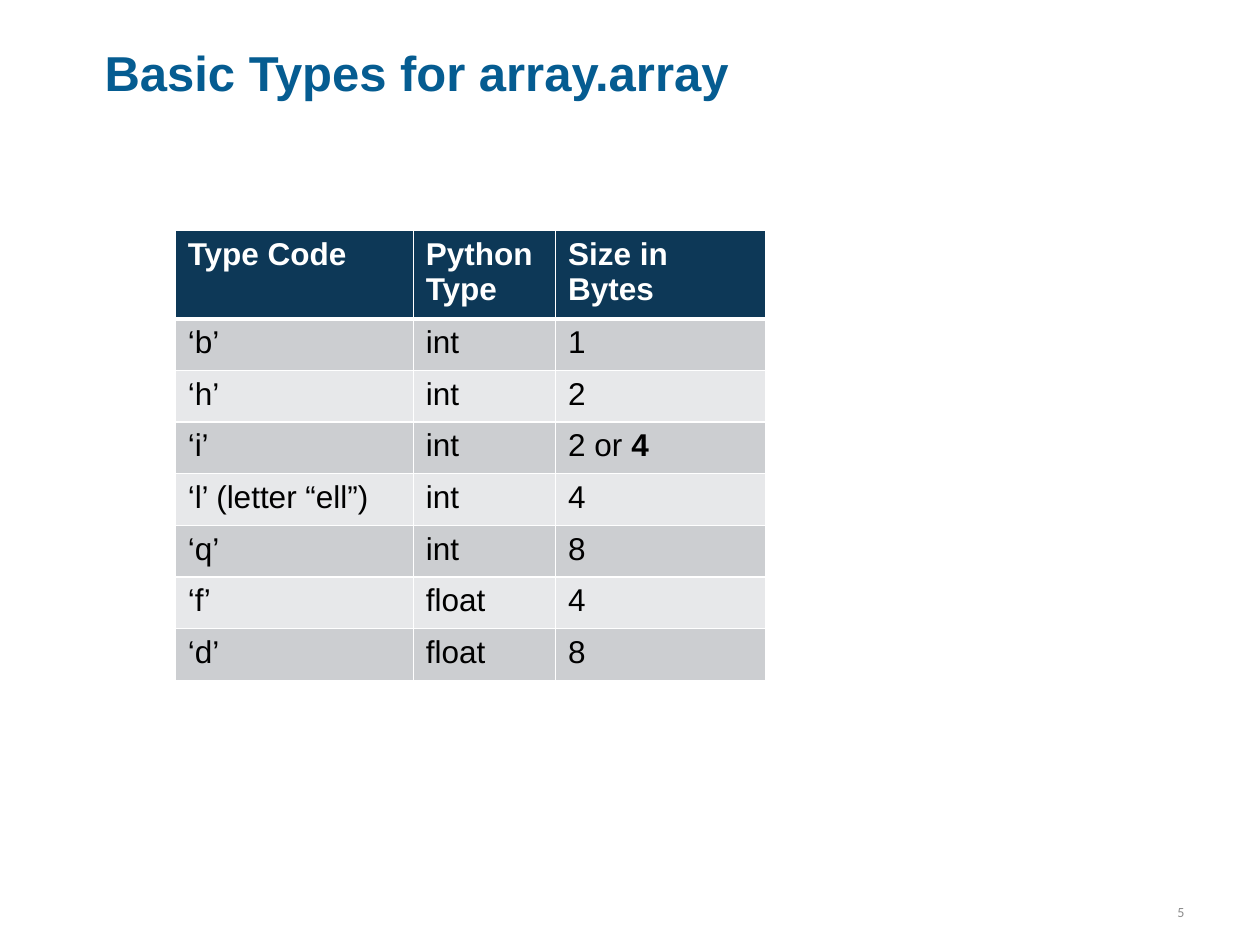
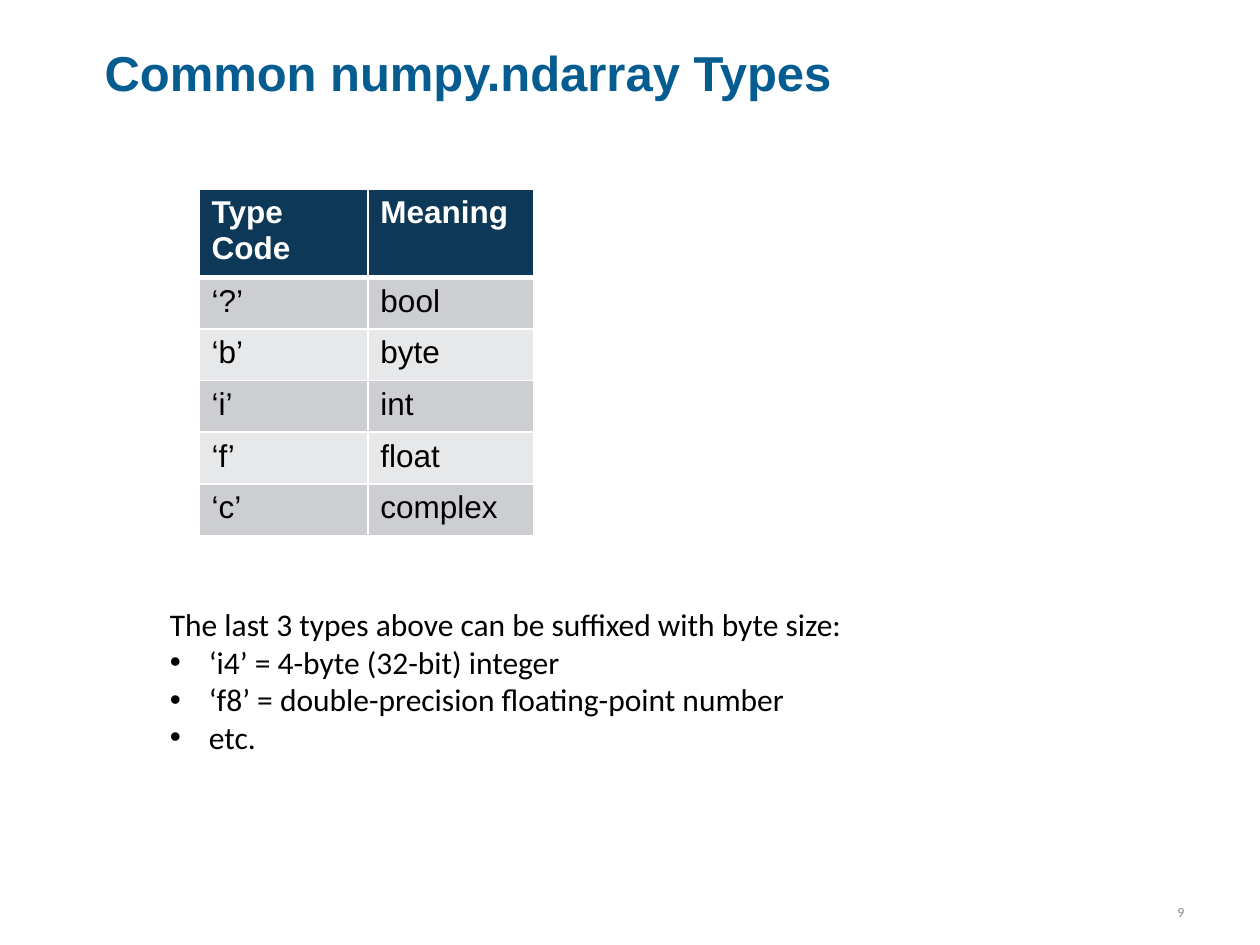
from lxml import etree
from pptx import Presentation
from pptx.dml.color import RGBColor
from pptx.enum import text
from pptx.oxml import ns
from pptx.util import Inches, Pt

TITLE_BLUE = "055C91"
HEADER_NAVY = "0D3857"
BAND_DARK = "CCCED1"
BAND_LIGHT = "E7E8EA"
WHITE = "FFFFFF"
BLACK = "000000"
PAGE_GREY = "8C8C8C"
HEADING_FONT = "Arial"
BODY_FONT = "Calibri"


def color(value):
    return RGBColor.from_string(value)


def add_element(parent, tag, **attributes):
    return etree.SubElement(parent, ns.qn(tag), attributes)


class Deck:
    def __init__(self):
        self.presentation = Presentation()
        self.presentation.slide_width = Inches(10)
        self.presentation.slide_height = Inches(7.5)
        self.page = None

    def add_page(self, title, number):
        self.page = self.presentation.slides.add_slide(self.presentation.slide_layouts[6])
        self.add_number(number)
        self.add_title(title)

    def style(self, paragraph, font, size, shade, bold=False):
        for span in paragraph.runs:
            span.font.name = font
            span.font.size = Pt(size)
            span.font.bold = bold
            span.font.color.rgb = color(shade)

    def add_box(self, left, top, width, height, words, wrap=True):
        box = self.page.shapes.add_textbox(
            Inches(left), Inches(top), Inches(width), Inches(height))
        frame = box.text_frame
        frame.word_wrap = wrap
        frame.text = words
        return frame

    def add_title(self, words):
        frame = self.add_box(0.83, 0.41, 8.78, 0.4, words)
        frame.vertical_anchor = text.MSO_ANCHOR.MIDDLE
        frame.margin_left = frame.margin_right = 0
        frame.margin_top = frame.margin_bottom = 0
        paragraph = frame.paragraphs[0]
        paragraph.line_spacing = 0.85
        self.style(paragraph, HEADING_FONT, 28, TITLE_BLUE, True)

    def add_number(self, number):
        frame = self.add_box(9.16, 7.12, 0.34, 0.24, str(number), wrap=False)
        frame.vertical_anchor = text.MSO_ANCHOR.MIDDLE
        paragraph = frame.paragraphs[0]
        paragraph.alignment = text.PP_ALIGN.RIGHT
        self.style(paragraph, BODY_FONT, 8, PAGE_GREY)

    def add_borders(self, cell, top, bottom):
        properties = cell._tc.get_or_add_tcPr()
        for side, width in (("L", 1), ("R", 1), ("T", top), ("B", bottom)):
            line = add_element(properties, f"a:ln{side}", w=str(Pt(width)))
            fill = add_element(line, "a:solidFill")
            add_element(fill, "a:srgbClr", val=WHITE)

    def add_table(self, left, top, widths, rows, row_height=0.41):
        table = self.page.shapes.add_table(
            len(rows), len(widths), Inches(left), Inches(top),
            Inches(sum(widths)), Inches(row_height * len(rows))).table
        for column, width in zip(table.columns, widths):
            column.width = Inches(width)
        for row_index, values in enumerate(rows):
            table.rows[row_index].height = Inches(row_height)
            header = row_index == 0
            band = BAND_DARK if row_index % 2 else BAND_LIGHT
            for column_index, value in enumerate(values):
                cell = table.cell(row_index, column_index)
                self.add_borders(cell, 3 if row_index == 1 else 1, 3 if header else 1)
                cell.fill.solid()
                cell.fill.fore_color.rgb = color(HEADER_NAVY if header else band)
                cell.text_frame.text = value
                self.style(cell.text_frame.paragraphs[0], HEADING_FONT, 18,
                           WHITE if header else BLACK, header)
        return table

    def add_bold_ending(self, cell, words):
        paragraph = cell.text_frame.paragraphs[0]
        span = paragraph.add_run()
        span.text = words
        self.style(paragraph, HEADING_FONT, 18, BLACK)
        span.font.bold = True

    def add_bullet_list(self, left, top, width, height, intro, items):
        frame = self.add_box(left, top, width, height, intro)
        for item in items:
            paragraph = frame.add_paragraph()
            paragraph.text = item
            properties = paragraph._p.get_or_add_pPr()
            properties.set("marL", str(Inches(0.31)))
            properties.set("indent", str(Inches(-0.31)))
            add_element(properties, "a:buFont", typeface="Arial")
            add_element(properties, "a:buChar", char="•")
        for paragraph in frame.paragraphs:
            self.style(paragraph, BODY_FONT, 18, BLACK)


def main():
    deck = Deck()

    deck.add_page("Basic Types for array.array", 5)
    array_types = deck.add_table(1.39, 1.83, [1.89, 1.13, 1.67], [
        ("Type Code", "Python Type", "Size in Bytes"),
        ("‘b’", "int", "1"),
        ("‘h’", "int", "2"),
        ("‘i’", "int", "2 or "),
        ("‘l’ (letter “ell”)", "int", "4"),
        ("‘q’", "int", "8"),
        ("‘f’", "float", "4"),
        ("‘d’", "float", "8"),
    ])
    deck.add_bold_ending(array_types.cell(3, 2), "4")

    deck.add_page("Common numpy.ndarray Types", 9)
    deck.add_table(1.58, 1.5, [1.34, 1.32], [
        ("Type Code", "Meaning"),
        ("‘?’", "bool"),
        ("‘b’", "byte"),
        ("‘i’", "int"),
        ("‘f’", "float"),
        ("‘c’", "complex"),
    ])
    deck.add_bullet_list(
        1.25, 4.75, 7.17, 1.31,
        "The last 3 types above can be suffixed with byte size:",
        ["‘i4’ = 4-byte (32-bit) integer",
         "‘f8’ = double-precision floating-point number",
         "etc."])

    deck.presentation.save("out.pptx")


if __name__ == "__main__":
    main()
